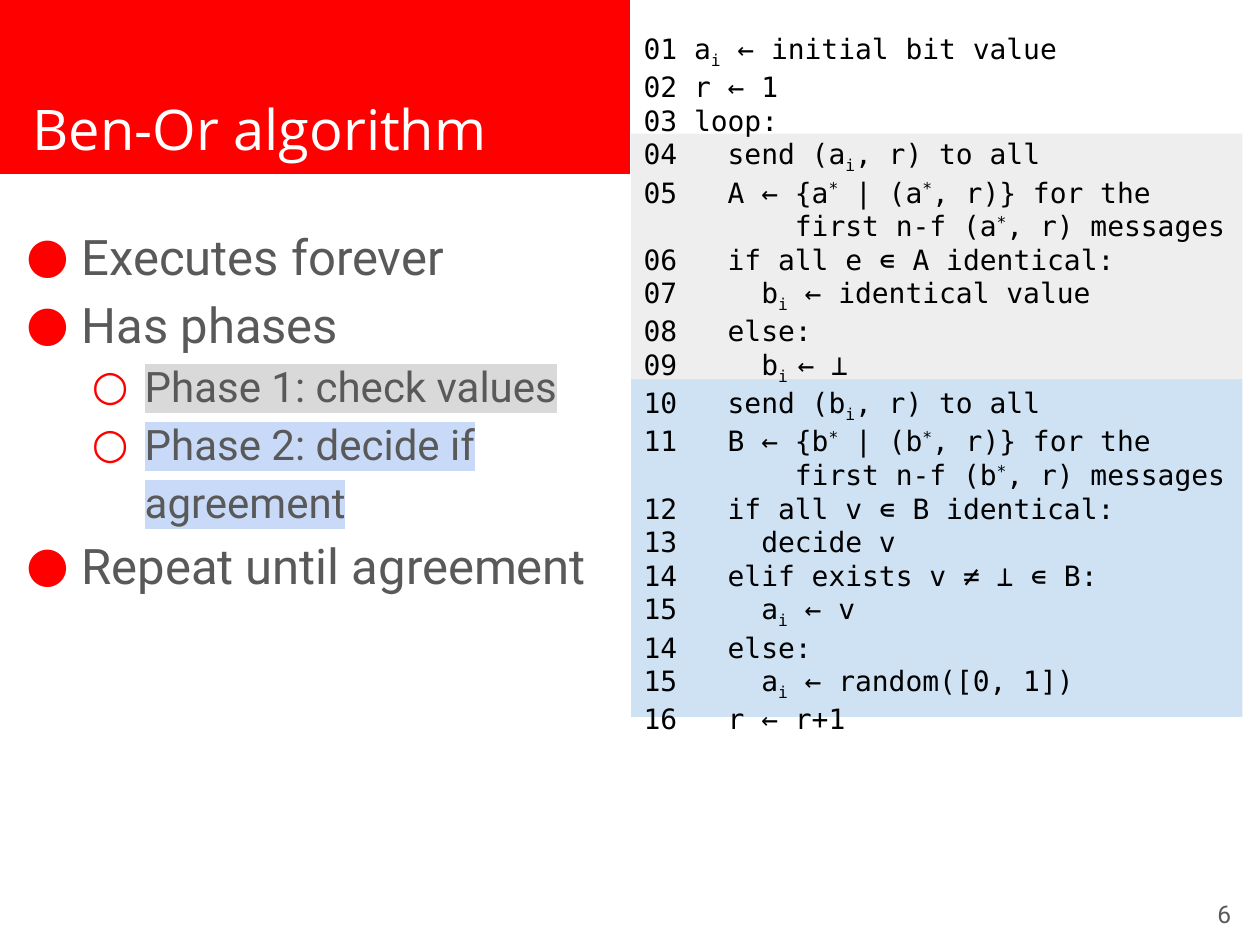
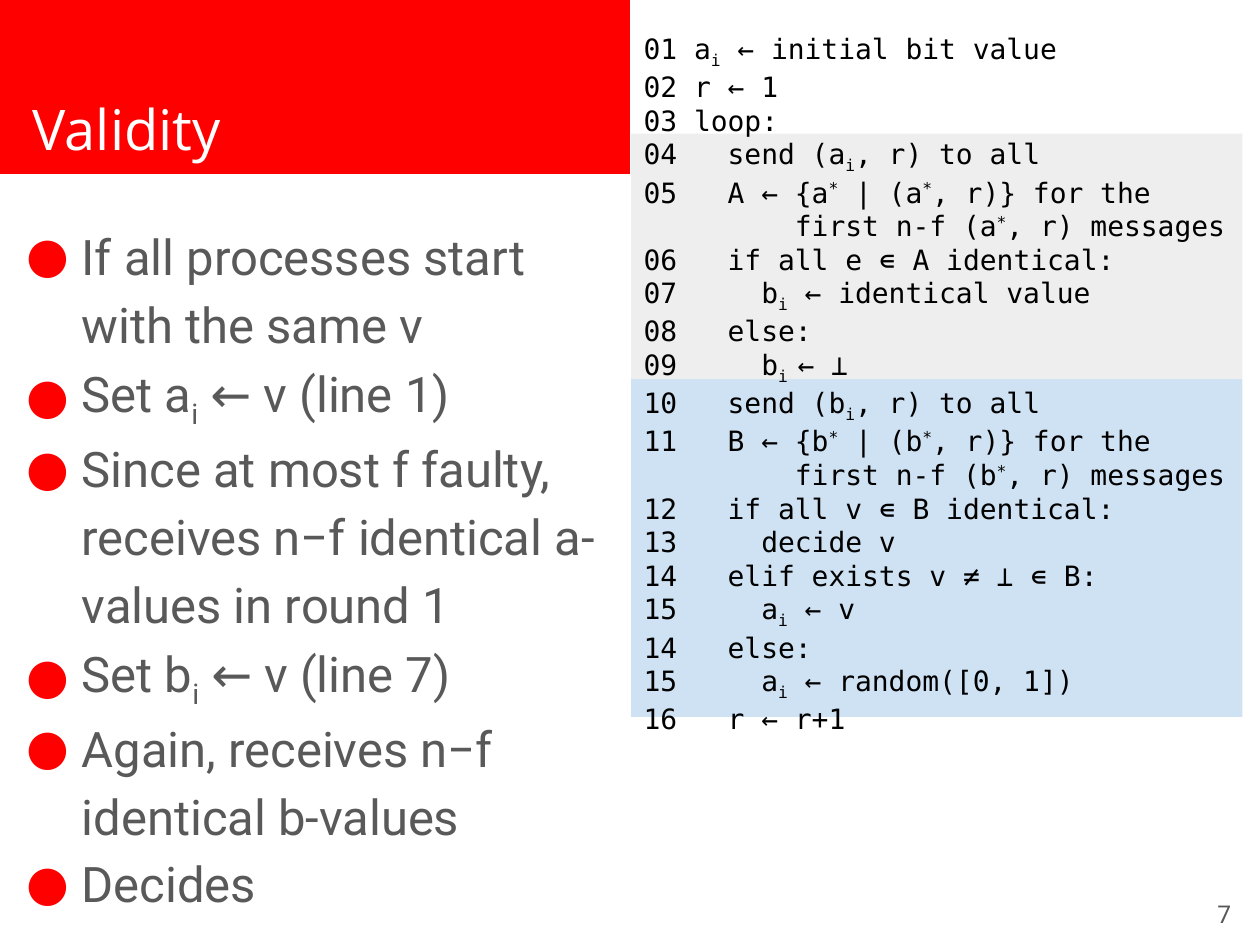
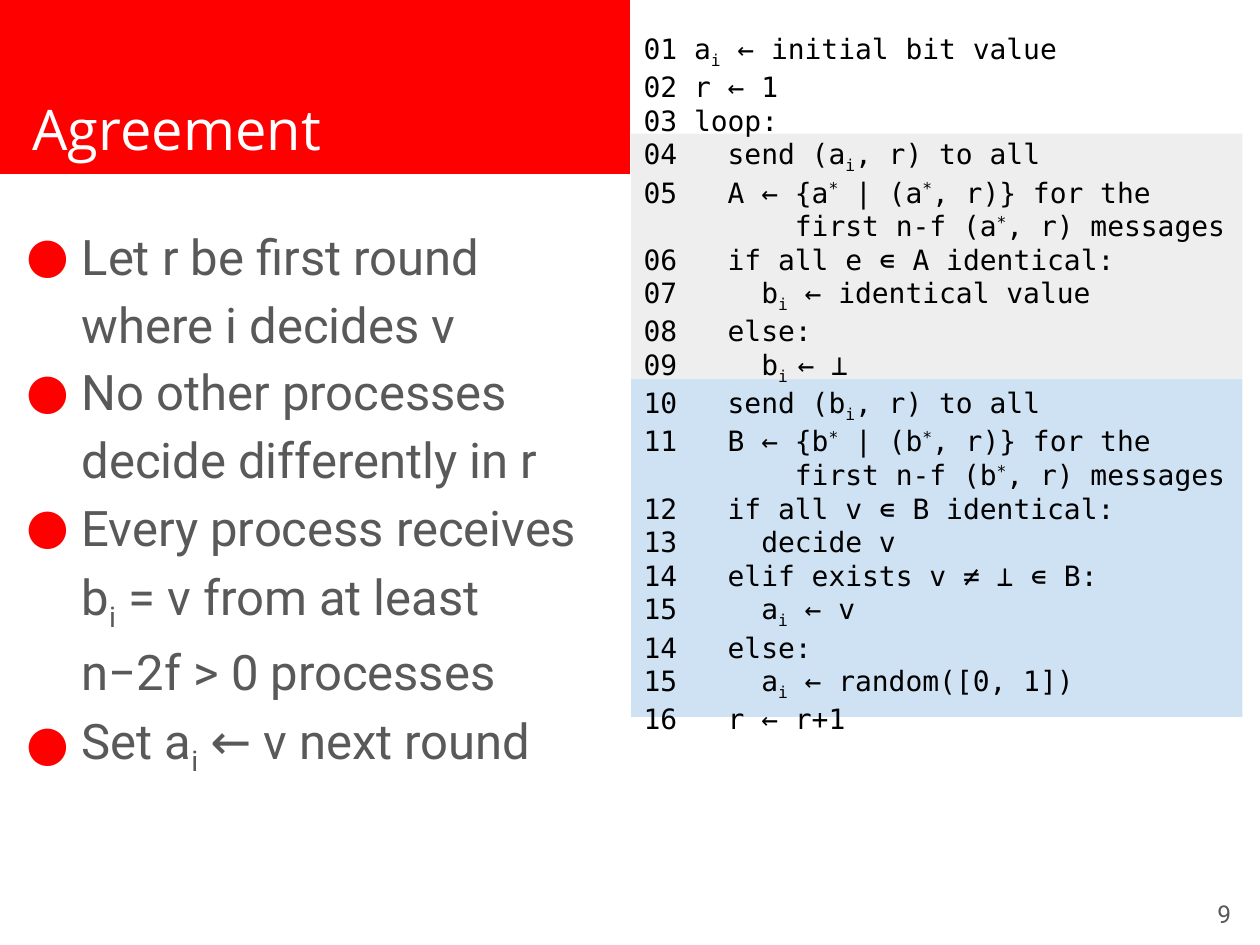
"""Builds three slides on the Ben-Or consensus algorithm."""
from lxml import etree
from pptx import Presentation
from pptx.dml.color import RGBColor
from pptx.enum import shapes, text
from pptx.oxml.ns import qn
from pptx.util import Inches, Pt

RED, GREY = "FF0000", "595959"
CODE = """01 a~i~ ← initial bit value
02 r ← 1
03 loop:
04   send (a~i~, r) to all
05   A ← {a~*~ | (a~*~, r)} for the
         first n-f (a~*~, r) messages
06   if all e ∊ A identical:
07     b~i~ ← identical value
08   else:
09     b~i ~← ⊥
10   send (b~i~, r) to all
11   B ← {b~*~ | (b~*~, r)} for the
         first n-f (b~*~, r) messages
12   if all v ∊ B identical:
13     decide v
14   elif exists v ≠ ⊥ ∊ B:
15     a~i~ ← v
14   else:
15     a~i~ ← random([0, 1])
16   r ← r+1""".split("\n")

SLIDES = [
    ("Ben-Or algorithm", 6, [
        ("Executes forever",),
        ("Has phases",),
        ("Phase 1: check values", 1, "D9D9D9"),
        ("Phase 2: decide if agreement", 1, "C9DAF8"),
        ("Repeat until agreement",)]),
    ("Validity", 7, [
        ("If all processes start with the same v",),
        ("Set a~i~ ← v (line 1)",),
        ("Since at most f faulty, receives n−f identical a-values in round 1",),
        ("Set b~i~ ← v (line 7)",),
        ("Again, receives n−f identical b-values",),
        ("Decides",)]),
    ("Agreement", 9, [
        ("Let r be first round where i decides v",),
        ("No other processes decide differently in r",),
        ("Every process receives b~i~ = v from at least\nn−2f > 0 processes",),
        ("Set a~i~ ← v next round",)]),
]


def tint(code):
    """Turn a hex string into a colour."""
    return RGBColor.from_string(code)


def node(parent, tag, **attrs):
    """Append a drawing element to its parent."""
    return etree.SubElement(parent, qn("a:" + tag), attrs)


class Deck:
    """Holds the style and the current slide."""

    styles = {
        "title": ("Open Sans", 32, "FFFFFF"),
        "body": ("Roboto", 28, GREY),
        "sub": ("Roboto", 24, GREY),
        "code": ("DejaVu Sans Mono", 16, "000000"),
        "page": ("Roboto", 14, GREY),
    }
    levels = [("body", "●", 0.5, 0.44), ("sub", "○", 1, 0.42)]

    def __init__(self):
        """Open an empty 4:3 deck."""
        self.prs = Presentation()
        self.prs.slide_width, self.prs.slide_height = Inches(10), Inches(7.5)

    def start(self):
        """Begin a blank slide."""
        self.slide = self.prs.slides.add_slide(self.prs.slide_layouts[6])

    def rect(self, x, y, w, h, fill):
        """Draw a flat rectangle."""
        box = self.slide.shapes.add_shape(
            shapes.MSO_SHAPE.RECTANGLE, *map(Inches, (x, y, w, h)))
        box.shadow.inherit = False
        box.fill.solid()
        box.fill.fore_color.rgb = tint(fill)
        box.line.fill.background()

    def frame(self, x, y, w, h, anchor=text.MSO_ANCHOR.TOP):
        """Add a wrapping text box and return its frame."""
        frame = self.slide.shapes.add_textbox(*map(Inches, (x, y, w, h))).text_frame
        form = {"word_wrap": True, "vertical_anchor": anchor}
        form.update({"margin_" + side: Inches(0.1)
                     for side in ("left", "top", "right", "bottom")})
        for name, value in form.items():
            setattr(frame, name, value)
        return frame

    def run(self, para, words, style, base=0, mark=None):
        """Add one run of styled text."""
        face, size, color = self.styles[style]
        run = para.add_run()
        run.text = words
        run.font.size = Pt(size)
        run.font.color.rgb = tint(color)
        props = run._r.get_or_add_rPr()
        if base:
            props.set("baseline", str(base * 1000))
        if mark:
            node(node(props, "highlight"), "srgbClr", val=mark)
        for tag in ("latin", "ea", "cs"):
            node(props, tag, typeface=face)

    def fill(self, para, words, style, mark=None):
        """Fill a paragraph; tildes enclose sub- and superscripts."""
        for row, line in enumerate(words.split("\n")):
            if row:
                para.add_line_break()
            for spot, part in enumerate(line.split("~")):
                base = (30 if part == "*" else -25) if spot % 2 else 0
                if part:
                    self.run(para, part, style, base, mark)

    def paras(self, frame, items):
        """Pair each item with a paragraph of the frame."""
        for spot, item in enumerate(items):
            yield (frame.add_paragraph() if spot else frame.paragraphs[0]), item

    def title(self, words):
        """Draw the red band and its title."""
        self.rect(0, 0, 5, 1.38, RED)
        frame = self.frame(0.16, 0.21, 4.42, 1.17, text.MSO_ANCHOR.BOTTOM)
        self.fill(frame.paragraphs[0], words, "title")

    def body(self, items):
        """Set the bulleted list."""
        for para, item in self.paras(self.frame(0.05, 1.63, 4.79, 5.39), items):
            words, level, mark = item if len(item) == 3 else (*item, 0, None)
            style, sign, left, hang = self.levels[level]
            para.level = level
            para.line_spacing = 1.15
            props = para._p.get_or_add_pPr()
            props.set("marL", str(Inches(left)))
            props.set("indent", str(-Inches(hang)))
            node(node(props, "buClr"), "srgbClr", val=RED)
            node(props, "buFont", typeface="Roboto")
            node(props, "buChar", char=sign)
            self.fill(para, words, style, mark)

    def code(self):
        """Set the listing over its two phase bands."""
        left, wide = 5.01, 4.85
        self.rect(left, 3.01, wide, 2.68, "CFE2F3")
        self.rect(left, 1.06, wide, 1.95, "EEEEEE")
        for para, line in self.paras(self.frame(left, 0.15, wide, 6.81), CODE):
            self.fill(para, line, "code")

    def page(self, number):
        """Set the page number."""
        frame = self.frame(9.27, 6.97, 0.6, 0.57, text.MSO_ANCHOR.MIDDLE)
        para = frame.paragraphs[0]
        para.alignment = text.PP_ALIGN.RIGHT
        self.fill(para, str(number), "page")


def main():
    """Build and save the deck."""
    deck = Deck()
    for title, number, items in SLIDES:
        deck.start()
        deck.title(title)
        deck.body(items)
        deck.code()
        deck.page(number)
    deck.prs.save("out.pptx")


if __name__ == "__main__":
    main()
